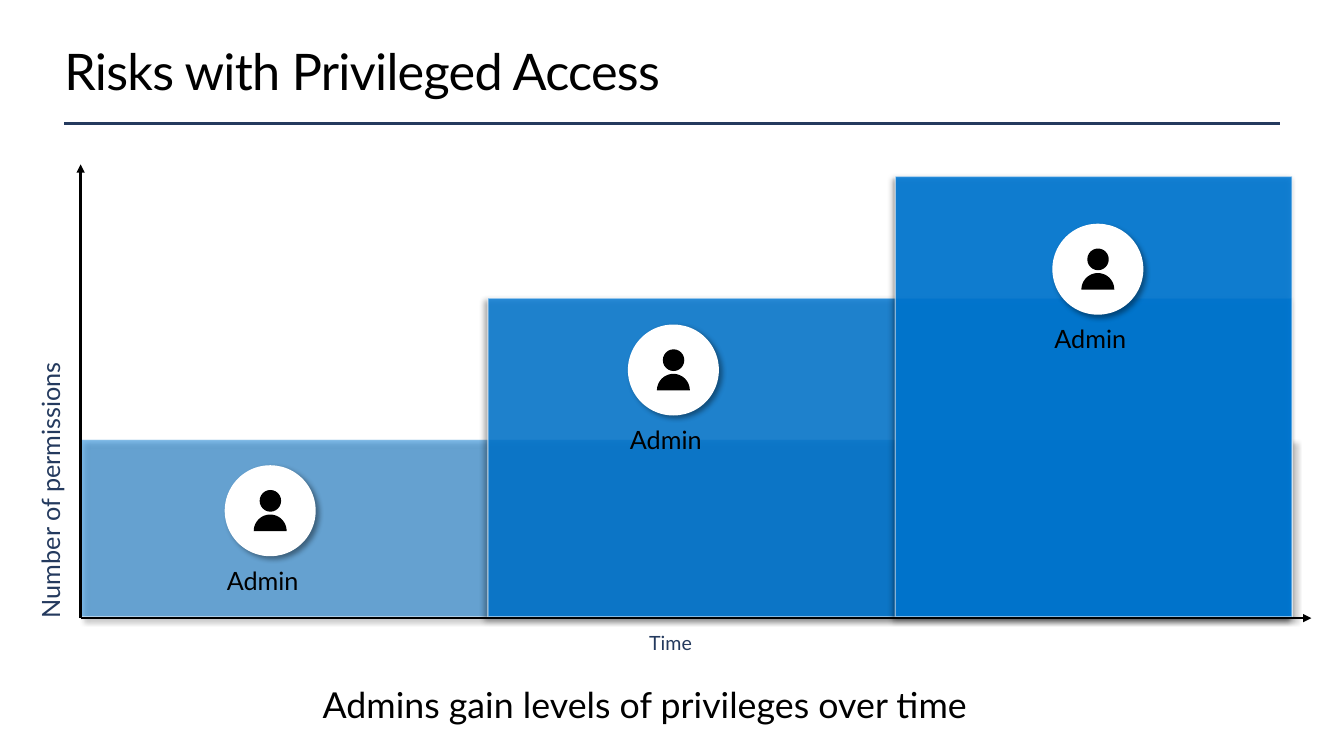
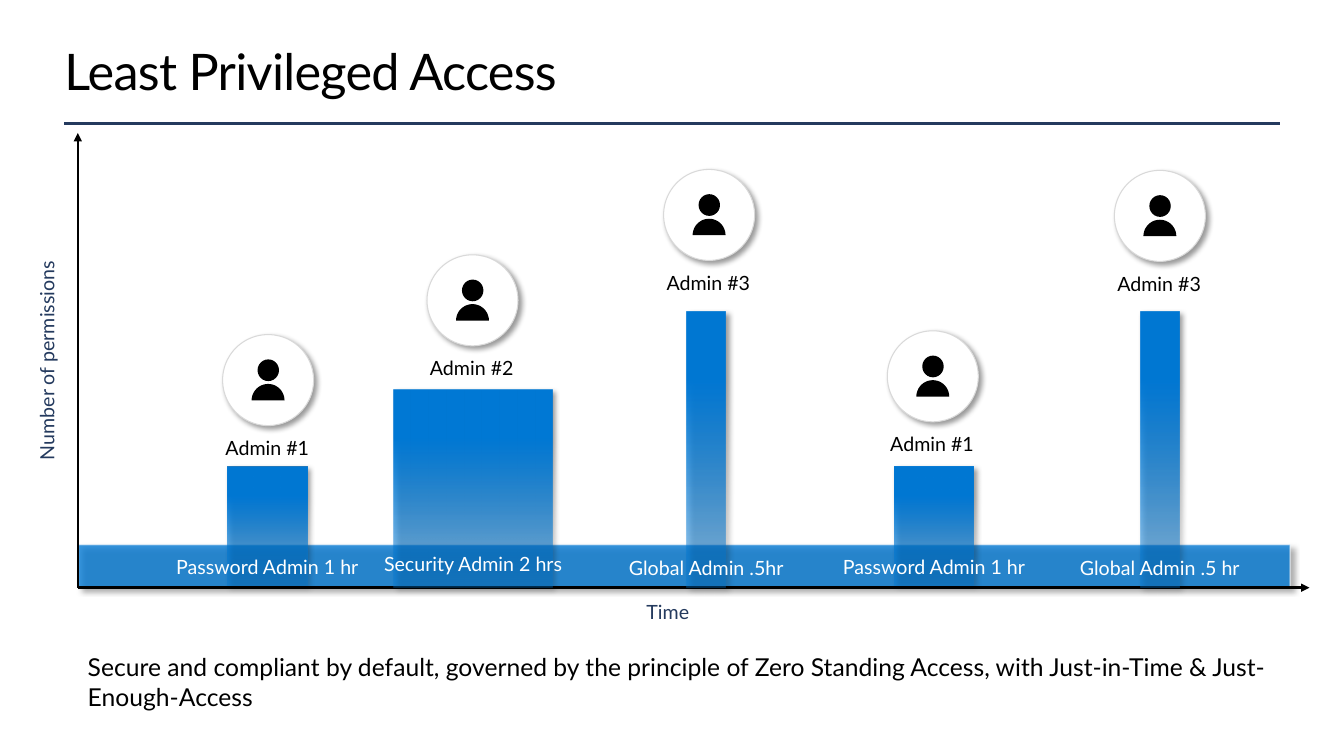
from math import cos, pi, sin
from typing import NamedTuple

from lxml.etree import SubElement
from pptx import Presentation
from pptx.dml.color import RGBColor
from pptx.enum.shapes import MSO_CONNECTOR, MSO_SHAPE
from pptx.enum.text import MSO_ANCHOR, MSO_AUTO_SIZE, PP_ALIGN
from pptx.oxml.ns import qn
from pptx.util import Pt

BLACK = "000000"
WHITE = "FFFFFF"
NAVY = "243A5E"
BLUE = "0078D4"
GREY = "D9D9D9"
FONT = "Lato"
TITLE_BOX = (46, 28, 868, 44)
RULE = (46, 88, 914.4, 88)
ICON_SIZE = 65

LEFT = {"alignment": PP_ALIGN.LEFT}
CENTRED = {"alignment": PP_ALIGN.CENTER, "line_spacing": 0.9, "space_after": Pt(5.9)}
CAPTION = {"alignment": PP_ALIGN.LEFT, "line_spacing": 0.9}


class Grant(NamedTuple):
    admin: str
    icon_left: float
    icon_top: float
    role: str
    label_height: float
    left: float
    top: float
    width: float
    height: float


GRANTS = [
    Grant("Admin #1", 159, 239, "Password Admin 1 hr", 33, 162.5, 333.3, 57, 85),
    Grant("Admin #2", 305, 182, "Security Admin 2 hrs", 30, 281.5, 278, 113, 142),
    Grant("Admin #3", 474, 121, "Global Admin .5hr", 34.5, 490.5, 222.5, 28, 197.3),
    Grant("Admin #1", 633.8, 236.3, "Password Admin 1 hr", 33, 638.7, 333, 57, 85),
    Grant("Admin #3", 796, 121.7, "Global Admin .5 hr", 34.5, 814.5, 222.5, 28, 197.3),
]


def colour(value):
    return RGBColor.from_string(value)


def points(*values):
    return [Pt(value) for value in values]


def set_alpha(parent, percent):
    colour_element = parent.findall(".//" + qn("a:srgbClr"))[-1]
    SubElement(colour_element, qn("a:alpha"), val=str(percent * 1000))


def add_shadow(shape, angle=45):
    shape.shadow.inherit = False
    effects = shape.element.spPr.find(qn("a:effectLst"))
    shadow = SubElement(
        effects, qn("a:outerShdw"), blurRad=str(Pt(4)), dist=str(Pt(3)),
        dir=str(angle * 60000), algn="tl" if angle == 45 else "tr", rotWithShape="0",
    )
    SubElement(shadow, qn("a:srgbClr"), val=BLACK)
    set_alpha(shadow, 40)


def write(shape, text, size, ink, paragraph_format, anchor=MSO_ANCHOR.MIDDLE, insets=(0, 0)):
    frame = shape.text_frame
    horizontal, vertical = points(*insets)
    frame_format = {
        "word_wrap": True, "auto_size": MSO_AUTO_SIZE.NONE, "vertical_anchor": anchor,
        "margin_left": horizontal, "margin_right": horizontal,
        "margin_top": vertical, "margin_bottom": vertical,
    }
    frame.text = text
    paragraph = frame.paragraphs[0]
    run = paragraph.runs[0]
    font_format = {"name": FONT, "size": Pt(size)}
    for target, values in (
        (frame, frame_format), (paragraph, paragraph_format), (run.font, font_format),
    ):
        for name, value in values.items():
            setattr(target, name, value)
    run.font.color.rgb = colour(ink)
    return run


def add_text(shapes, box, *content, **options):
    shape = shapes.add_textbox(*points(*box))
    write(shape, *content, **options)
    return shape


def add_line(slide, ends, ink, width, arrow=False):
    connector = slide.shapes.add_connector(MSO_CONNECTOR.STRAIGHT, *points(*ends))
    connector.line.color.rgb = colour(ink)
    connector.line.width = Pt(width)
    properties = connector.element.spPr
    if arrow:
        SubElement(properties.find(qn("a:ln")), qn("a:tailEnd"), type="triangle")
    SubElement(properties, qn("a:effectLst"))
    return connector


def paint(shape, fill, outline=None, width=0.75):
    shape.shadow.inherit = False
    shape.fill.solid()
    shape.fill.fore_color.rgb = colour(fill)
    if outline:
        shape.line.color.rgb = colour(outline)
        shape.line.width = Pt(width)
    else:
        shape.line.fill.background()
    return shape


def add_slab(slide, box, opacity, shadow_angle=45):
    slab = slide.shapes.add_shape(MSO_SHAPE.RECTANGLE, *points(*box))
    paint(slab, BLUE)
    set_alpha(slab.element.spPr, opacity)
    slab.line.color.rgb = colour(WHITE)
    slab.line.width = Pt(1)
    set_alpha(slab.element.spPr.find(qn("a:ln")), 50)
    add_shadow(slab, shadow_angle)


def add_admin(slide, left, top, name, size, paragraph_format, outline=None):
    shapes = slide.shapes.add_group_shape().shapes
    circle = shapes.add_shape(MSO_SHAPE.OVAL, *points(left, top, ICON_SIZE, ICON_SIZE))
    add_shadow(paint(circle, WHITE, outline))
    head = shapes.add_shape(MSO_SHAPE.OVAL, *points(left + 25, top + 17.7, 15.3, 15.5))
    paint(head, BLACK)
    centre, base, radius, steps = left + ICON_SIZE / 2, top + 47, 11.75, 24
    arc = [
        (Pt(centre - radius * cos(pi * step / steps)), Pt(base - radius * sin(pi * step / steps)))
        for step in range(steps + 1)
    ]
    builder = shapes.build_freeform(*arc[0])
    builder.add_line_segments(arc[1:], close=True)
    paint(builder.convert_to_shape(), BLACK)
    add_text(shapes, (left + 1.5, top + 74.5, 61, 15), name, size, BLACK, paragraph_format)


def add_grant_bar(slide, grant):
    shapes = slide.shapes.add_group_shape().shapes
    box = points(grant.left, grant.top, grant.width, grant.height)
    bar = shapes.add_shape(MSO_SHAPE.RECTANGLE, *box)
    bar.line.fill.background()
    bar.fill.gradient()
    bar.fill.gradient_angle = 270
    for stop, position in zip(bar.fill.gradient_stops, (0.24, 0.99)):
        stop.color.rgb = colour(BLUE)
        stop.position = position
    set_alpha(bar.element.spPr, 37)
    add_shadow(bar)
    label_left = grant.left + grant.width / 2 - 75
    add_text(shapes, (label_left, 389, 150, grant.label_height), grant.role, 14, WHITE, CENTRED)


def add_axes(slide, left, base, top, right):
    for ends in ((left, base, left, top), (left, base, right, base)):
        add_line(slide, ends, BLACK, 1.75, arrow=True)


def add_axis_names(slide, time_box, permissions_box, size, paragraph_format):
    add_text(slide.shapes, time_box, "Time", 14, NAVY, CENTRED)
    name = add_text(
        slide.shapes, permissions_box, "Number of permissions", size, NAVY, paragraph_format
    )
    name.rotation = 270


def add_titled_slide(presentation, layout, title):
    slide = presentation.slides.add_slide(layout)
    run = write(slide.shapes.title, title, 36, BLACK, LEFT)
    run.font._element.set("spc", "-50")
    return slide


def set_up_layout(layout):
    title = layout.placeholders[0]
    for name, value in zip(("left", "top", "width", "height"), points(*TITLE_BOX)):
        setattr(title, name, value)


def build_risks(presentation, layout):
    slide = add_titled_slide(presentation, layout, "Risks with Privileged Access")
    rule = add_line(slide, RULE, NAVY, 2)
    layout.shapes.element.append(rule.element)
    right, bottom = 923, 440.7
    for left, top, opacity, angle in (
        (57.6, 314, 50, 45), (348.5, 213, 82, 135), (639.5, 126, 90, 135),
    ):
        add_slab(slide, (left, top, right - left, bottom - top), opacity, angle)
    add_axis_names(slide, (431, 448, 96, 24), (-126.7, 267, 325, 24), 18, LEFT)
    add_axes(slide, 57.6, 441.5, 117.4, 936.7)
    for left, top in ((160.5, 332.3), (448.5, 231.8), (751.7, 159.8)):
        add_admin(slide, left, top, "Admin", 18, LEFT)
    add_text(
        slide.shapes, (230.4, 491, 700, 28), "Admins gain levels of privileges over time",
        25.5, BLACK, CAPTION, anchor=MSO_ANCHOR.TOP,
    )


def build_least_privilege(presentation, layout):
    slide = add_titled_slide(presentation, layout, "Least Privileged Access")
    add_slab(slide, (56, 389, 865.5, 30.2), 78)
    add_axis_names(slide, (429, 426.2, 96, 24), (-128.2, 245.5, 325, 24), 14, CENTRED)
    add_axes(slide, 55.6, 419.8, 95, 935.3)
    for grant in GRANTS:
        add_admin(slide, grant.icon_left, grant.icon_top, grant.admin, 14, CENTRED, GREY)
        add_grant_bar(slide, grant)
    add_text(
        slide.shapes, (55.6, 462.3, 865.5, 50),
        "Secure and compliant by default, governed by the principle of Zero Standing Access, "
        "with Just-in-Time & Just-Enough-Access",
        17.6, BLACK, LEFT, anchor=MSO_ANCHOR.TOP, insets=(7.2, 3.6),
    )


def main():
    presentation = Presentation()
    presentation.slide_width, presentation.slide_height = points(960, 540)
    layout = presentation.slide_layouts[5]
    set_up_layout(layout)
    build_risks(presentation, layout)
    build_least_privilege(presentation, layout)
    presentation.save("out.pptx")


if __name__ == "__main__":
    main()
